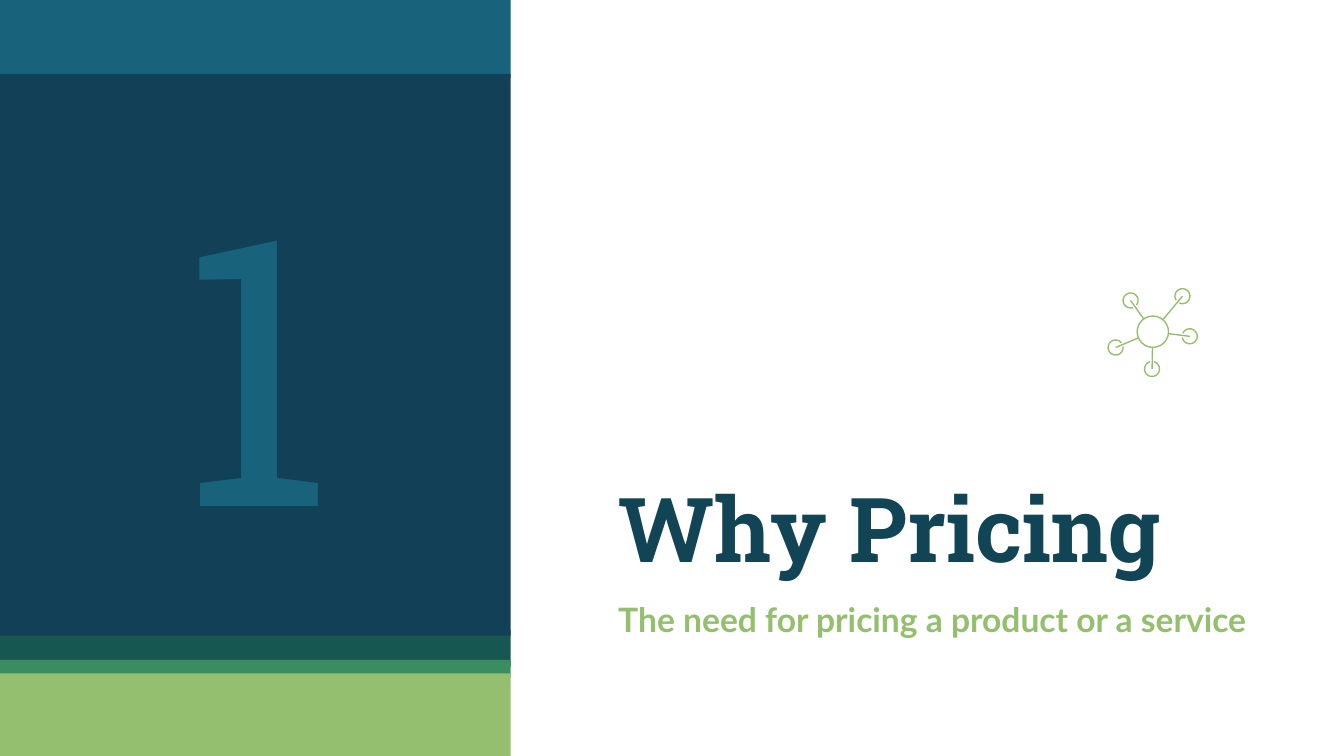
"""Build the section opener slide "Why Pricing"."""
import math
from dataclasses import dataclass

import lxml.etree
import pptx
import pptx.dml.color
import pptx.enum.shapes
import pptx.enum.text
import pptx.oxml.ns
import pptx.shapes.base
import pptx.shapes.shapetree
import pptx.slide
import pptx.text.text
import pptx.util

Pt = pptx.util.Pt
ANCHOR = pptx.enum.text.MSO_ANCHOR
ALIGN = pptx.enum.text.PP_ALIGN
SHAPE = pptx.enum.shapes.MSO_SHAPE


@dataclass(frozen=True)
class Theme:
    title_colour: str = "114454"
    navy: str = "124057"
    teal: str = "18637B"
    forest: str = "165751"
    green: str = "3B8D61"
    lime: str = "94BF6E"
    heading_font: str = "Roboto Slab"
    body_font: str = "Lato"
    number_size: float = 200
    title_size: float = 48
    subtitle_size: float = 18
    line_width: float = 0.75


@dataclass(frozen=True)
class Box:
    left: float
    top: float
    width: float
    height: float


@dataclass(frozen=True)
class Band:
    top: float
    height: float
    colour: str


@dataclass(frozen=True)
class TextStyle:
    size: float
    font: str
    colour: str
    bold: bool
    align: ALIGN
    anchor: ANCHOR


@dataclass(frozen=True)
class Circle:
    x: float
    y: float
    radius: float

    def point(self, angle: float) -> tuple[int, int]:
        return (Pt(self.x + self.radius * math.cos(angle)),
                Pt(self.y + self.radius * math.sin(angle)))


THEME = Theme()
PANEL_WIDTH = 273.6
BANDS = (
    Band(337.7, 19.4, THEME.forest),
    Band(0, 41.8, THEME.teal),
    Band(39.6, 301, THEME.navy),
    Band(353.5, 9.4, THEME.green),
    Band(360.7, 44.3, THEME.lime),
)
HUB = Circle(617.6, 177.7, 8.4)
NODE_RADIUS = 4.0
NODES = tuple(Circle(x, y, NODE_RADIUS) for x, y in (
    (633.5, 158.7), (605.7, 161), (597.7, 186.2), (617.2, 197.7), (637.4, 180.2)))
NODE_GAP = math.radians(32)
ARC_STEPS = 60


def rgb(colour: str) -> pptx.dml.color.RGBColor:
    return pptx.dml.color.RGBColor.from_string(colour)


def place(shape: pptx.shapes.base.BaseShape, box: Box) -> None:
    shape.left, shape.top = Pt(box.left), Pt(box.top)
    shape.width, shape.height = Pt(box.width), Pt(box.height)


def write(text_frame: pptx.text.text.TextFrame, text: str, style: TextStyle) -> None:
    text_frame.text = text
    text_frame.word_wrap = True
    text_frame.auto_size = pptx.enum.text.MSO_AUTO_SIZE.NONE
    text_frame.vertical_anchor = style.anchor
    text_frame.margin_left = text_frame.margin_right = Pt(7.2)
    text_frame.margin_top = text_frame.margin_bottom = Pt(7.2)
    paragraph = text_frame.paragraphs[0]
    paragraph.alignment = style.align
    paragraph.space_before = Pt(0)
    font = paragraph.runs[0].font
    font.size, font.name, font.bold = Pt(style.size), style.font, style.bold
    font.color.rgb = rgb(style.colour)


def draw_band(slide: pptx.slide.Slide, band: Band) -> None:
    shape = slide.shapes.add_shape(
        SHAPE.RECTANGLE, 0, Pt(band.top), Pt(PANEL_WIDTH), Pt(band.height))
    shape.shadow.inherit = False
    shape.fill.solid()
    shape.fill.fore_color.rgb = rgb(band.colour)
    shape.line.fill.background()


def outline(shape: pptx.shapes.base.BaseShape) -> None:
    shape.shadow.inherit = False
    shape.fill.background()
    shape.line.color.rgb = rgb(THEME.lime)
    shape.line.width = Pt(THEME.line_width)


def draw_node(shapes: pptx.shapes.shapetree.GroupShapes, node: Circle) -> None:
    to_hub = math.atan2(HUB.y - node.y, HUB.x - node.x)
    step = (math.tau - NODE_GAP) / ARC_STEPS
    points = [node.point(to_hub + NODE_GAP / 2 + step * index)
              for index in range(ARC_STEPS + 1)]
    builder = shapes.build_freeform(*points[0], scale=1.0)
    builder.add_line_segments(points[1:], close=False)
    outline(builder.convert_to_shape())


def draw_spoke(shapes: pptx.shapes.shapetree.GroupShapes, node: Circle) -> None:
    from_hub = math.atan2(node.y - HUB.y, node.x - HUB.x)
    connector = shapes.add_connector(
        pptx.enum.shapes.MSO_CONNECTOR.STRAIGHT,
        Pt(node.x), Pt(node.y), *HUB.point(from_hub))
    connector.line.color.rgb = rgb(THEME.lime)
    connector.line.width = Pt(THEME.line_width)
    lxml.etree.SubElement(connector._element.spPr, pptx.oxml.ns.qn("a:effectLst"))


def draw_network(slide: pptx.slide.Slide) -> None:
    shapes = slide.shapes.add_group_shape().shapes
    for node in NODES:
        draw_node(shapes, node)
    outline(shapes.add_shape(
        SHAPE.OVAL, Pt(HUB.x - HUB.radius), Pt(HUB.y - HUB.radius),
        Pt(2 * HUB.radius), Pt(2 * HUB.radius)))
    for node in NODES:
        draw_spoke(shapes, node)


def main() -> None:
    presentation = pptx.Presentation()
    presentation.slide_width, presentation.slide_height = Pt(720), Pt(405)
    slide = presentation.slides.add_slide(presentation.slide_layouts[0])
    for band in BANDS:
        draw_band(slide, band)

    number = slide.shapes.add_textbox(0, Pt(41), Pt(PANEL_WIDTH), Pt(301))
    write(number.text_frame, "1", TextStyle(
        THEME.number_size, THEME.heading_font, THEME.teal, False,
        ALIGN.CENTER, ANCHOR.MIDDLE))

    title, subtitle = slide.shapes.title, slide.placeholders[1]
    place(title, Box(324, 226.8, 355, 91.4))
    write(title.text_frame, "Why Pricing", TextStyle(
        THEME.title_size, THEME.heading_font, THEME.title_colour, True,
        ALIGN.LEFT, ANCHOR.BOTTOM))
    place(subtitle, Box(324, 313.9, 355, 61.9))
    write(subtitle.text_frame, "The need for pricing a product or a service", TextStyle(
        THEME.subtitle_size, THEME.body_font, THEME.lime, True,
        ALIGN.LEFT, ANCHOR.TOP))

    draw_network(slide)
    presentation.save("out.pptx")


if __name__ == "__main__":
    main()
